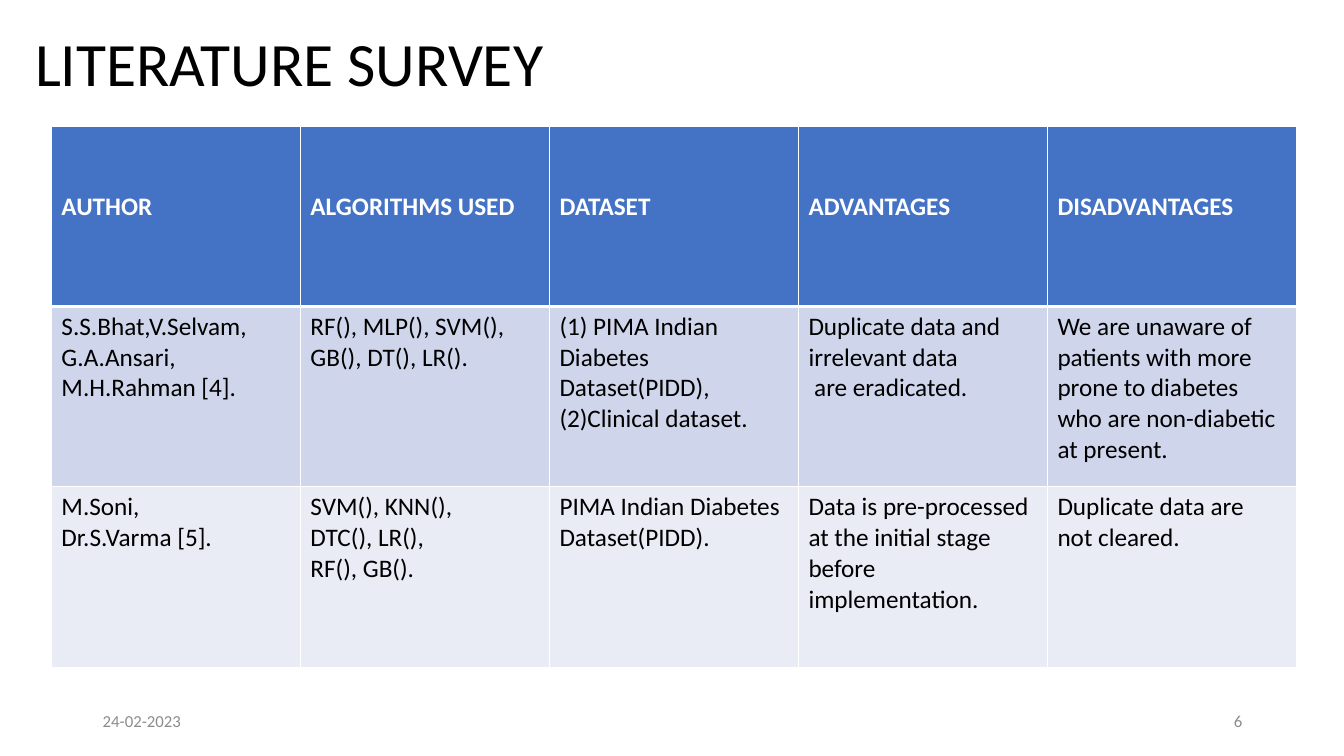
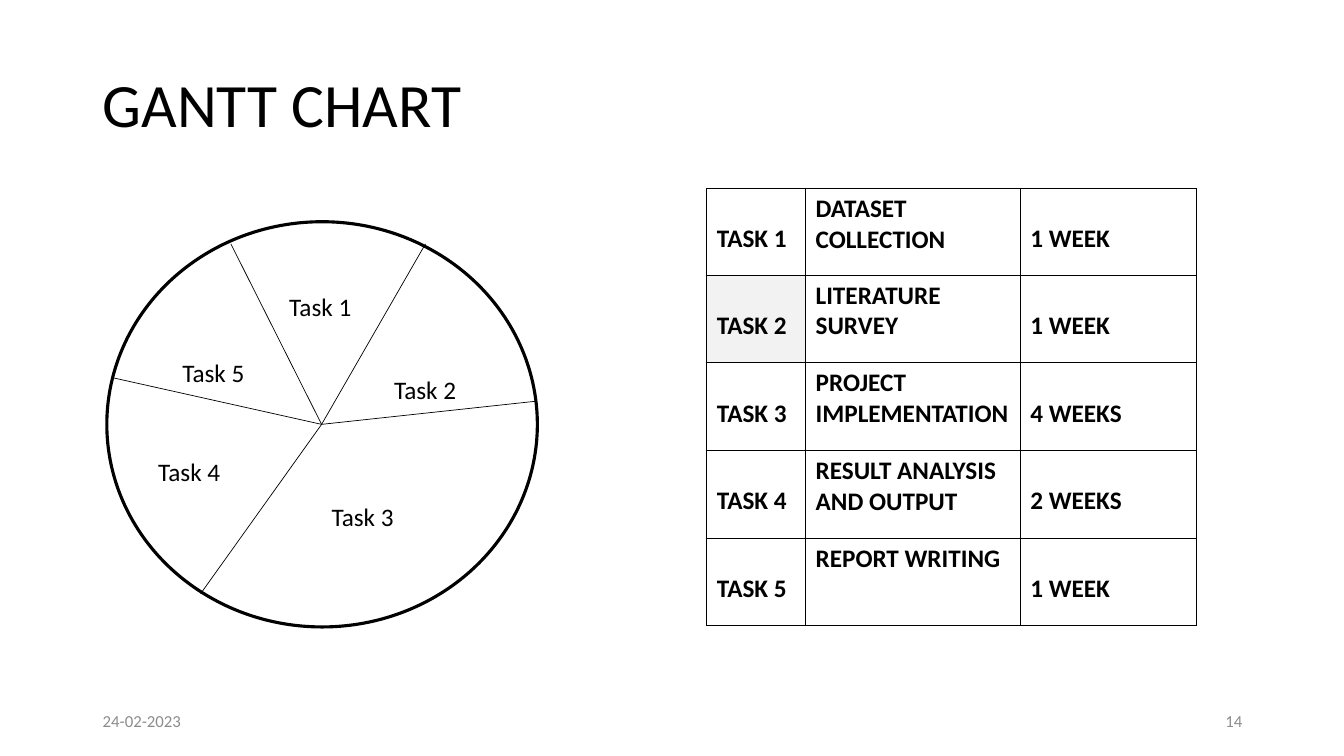
from dataclasses import dataclass

from lxml import etree
from pptx import Presentation
from pptx import util as u
from pptx.dml.color import RGBColor
from pptx.enum import shapes, text
from pptx.oxml import ns


@dataclass(frozen=True)
class Theme:
    font: str = "Calibri"
    ink: str = "000000"
    paper: str = "FFFFFF"
    muted: str = "8C8C8C"
    head: str = "4472C4"
    odd: str = "CFD5EA"
    even: str = "E9EBF5"
    shade: str = "F2F2F2"
    title: int = 44
    body: int = 18
    small: int = 12


THEME = Theme()
SCALE = 9144
LINE = 30
PAD = 5
DATE = "24-02-2023"

SURVEY = [
    ["AUTHOR", "ALGORITHMS USED", "DATASET", "ADVANTAGES", "DISADVANTAGES"],
    [
        "S.S.Bhat,V.Selvam,\nG.A.Ansari,\nM.H.Rahman [4].",
        "RF(), MLP(), SVM(), GB(), DT(), LR().",
        "(1) PIMA Indian Diabetes\nDataset(PIDD),\n(2)Clinical dataset.",
        "Duplicate data and irrelevant data\n are eradicated.",
        "We are unaware of patients with more prone to diabetes "
        "who are non-diabetic at present.",
    ],
    [
        "M.Soni,\nDr.S.Varma [5].",
        "SVM(), KNN(),\nDTC(), LR(),\nRF(), GB().",
        "PIMA Indian Diabetes\nDataset(PIDD).",
        "Data is pre-processed at the initial stage before implementation.",
        "Duplicate data are\nnot cleared.",
    ],
]

PLAN = [
    ["TASK 1", "DATASET COLLECTION", "1 WEEK"],
    ["TASK 2", "LITERATURE SURVEY", "1 WEEK"],
    ["TASK 3", "PROJECT IMPLEMENTATION", "4 WEEKS"],
    ["TASK 4", "RESULT ANALYSIS AND OUTPUT", "2 WEEKS"],
    ["TASK 5", "REPORT WRITING", "1 WEEK"],
]

HUB = (319, 421)
SPOKES = [(229, 242), (422, 242), (199, 589), (113, 375), (532, 398)]
LABELS = [
    ("Task 1", 277, 284),
    ("Task 2", 381, 366),
    ("Task 3", 319, 492),
    ("Task 4", 147, 448),
    ("Task 5", 171, 350),
]


def px(*nums):
    return [u.Emu(num * SCALE) for num in nums]


def rgb(code):
    return RGBColor.from_string(code)


def write(frame, words, size=THEME.body, color=THEME.ink, bold=False,
          align=text.PP_ALIGN.LEFT, space=1.0):
    frame.word_wrap = True
    for num, line in enumerate(words.split("\n")):
        para = frame.paragraphs[0] if num == 0 else frame.add_paragraph()
        para.alignment = align
        para.line_spacing = space
        run = para.add_run()
        run.text = line
        run.font.name = THEME.font
        run.font.size = u.Pt(size)
        run.font.bold = bold
        run.font.color.rgb = rgb(color)


def label(slide, words, box, anchor=text.MSO_ANCHOR.TOP, **style):
    frame = slide.shapes.add_textbox(*px(*box)).text_frame
    frame.vertical_anchor = anchor
    write(frame, words, **style)


def page(deck, title, box, number):
    slide = deck.slides.add_slide(deck.slide_layouts[6])
    mid = text.MSO_ANCHOR.MIDDLE
    label(slide, title, box, mid, size=THEME.title, space=0.9)
    foot = {"size": THEME.small, "color": THEME.muted}
    label(slide, DATE, (92, 695, 300, 40), mid, **foot)
    label(slide, str(number), (942, 695, 300, 40), mid,
          align=text.PP_ALIGN.RIGHT, **foot)
    return slide


def border(cell, color, top=1, base=1):
    props = cell._tc.get_or_add_tcPr()
    for side, width in (("L", 1), ("R", 1), ("T", top), ("B", base)):
        edge = etree.SubElement(props, ns.qn(f"a:ln{side}"), w=str(u.Pt(width)))
        fill = etree.SubElement(edge, ns.qn("a:solidFill"))
        etree.SubElement(fill, ns.qn("a:srgbClr"), val=color)


def fill_cell(cell, words, fill, drop=0, **style):
    cell.fill.solid()
    cell.fill.fore_color.rgb = rgb(fill)
    cell.margin_top = px(PAD + drop * LINE)[0]
    write(cell.text_frame, words, **style)


def grid(slide, left, top, cols, rows):
    box = px(left, top, sum(cols), sum(rows))
    table = slide.shapes.add_table(len(rows), len(cols), *box).table
    table.first_row = table.horz_banding = False
    for col, width in zip(table.columns, px(*cols)):
        col.width = width
    for row, height in zip(table.rows, px(*rows)):
        row.height = height
    return table


def spoke(slide, start, end):
    line = slide.shapes.add_connector(
        shapes.MSO_CONNECTOR.STRAIGHT, *px(*start, *end))
    line.line.color.rgb = rgb(THEME.ink)
    line.line.width = u.Pt(0.5)
    etree.SubElement(line._element.spPr, ns.qn("a:effectLst"))


def survey(deck):
    slide = page(deck, "LITERATURE SURVEY", (25, 25, 1217, 82), 6)
    table = grid(slide, 51, 125, [247] * 5, [179] * 3)
    fills = [THEME.head, THEME.odd, THEME.even]
    for row, line in enumerate(SURVEY):
        head = row == 0
        for col, words in enumerate(line):
            cell = table.cell(row, col)
            border(cell, THEME.paper, top=3 if row == 1 else 1,
                   base=3 if head else 1)
            fill_cell(cell, words, fills[row], drop=2 if head else 0,
                      bold=head, color=THEME.paper if head else THEME.ink)


def gantt(deck):
    slide = page(deck, "GANTT CHART", (92, 34, 1150, 145), 14)
    disc = slide.shapes.add_shape(
        shapes.MSO_SHAPE.OVAL, *px(106, 220, 427, 402))
    disc.shadow.inherit = False
    disc.fill.solid()
    disc.fill.fore_color.rgb = rgb(THEME.paper)
    disc.line.color.rgb = rgb(THEME.ink)
    disc.line.width = u.Pt(2.25)
    for end in SPOKES:
        spoke(slide, HUB, end)
    for words, left, top in LABELS:
        label(slide, words, (left, top, 100, 40))

    table = grid(slide, 701, 187, [98, 213, 175], [86] + [87] * 4)
    for row, line in enumerate(PLAN):
        for col, words in enumerate(line):
            cell = table.cell(row, col)
            border(cell, THEME.ink)
            fill = THEME.shade if (row, col) == (1, 0) else THEME.paper
            fill_cell(cell, words, fill, drop=0 if col == 1 else 1, bold=True)


def main():
    deck = Presentation()
    deck.slide_width, deck.slide_height = px(1333, 750)
    survey(deck)
    gantt(deck)
    deck.save("out.pptx")


if __name__ == "__main__":
    main()
